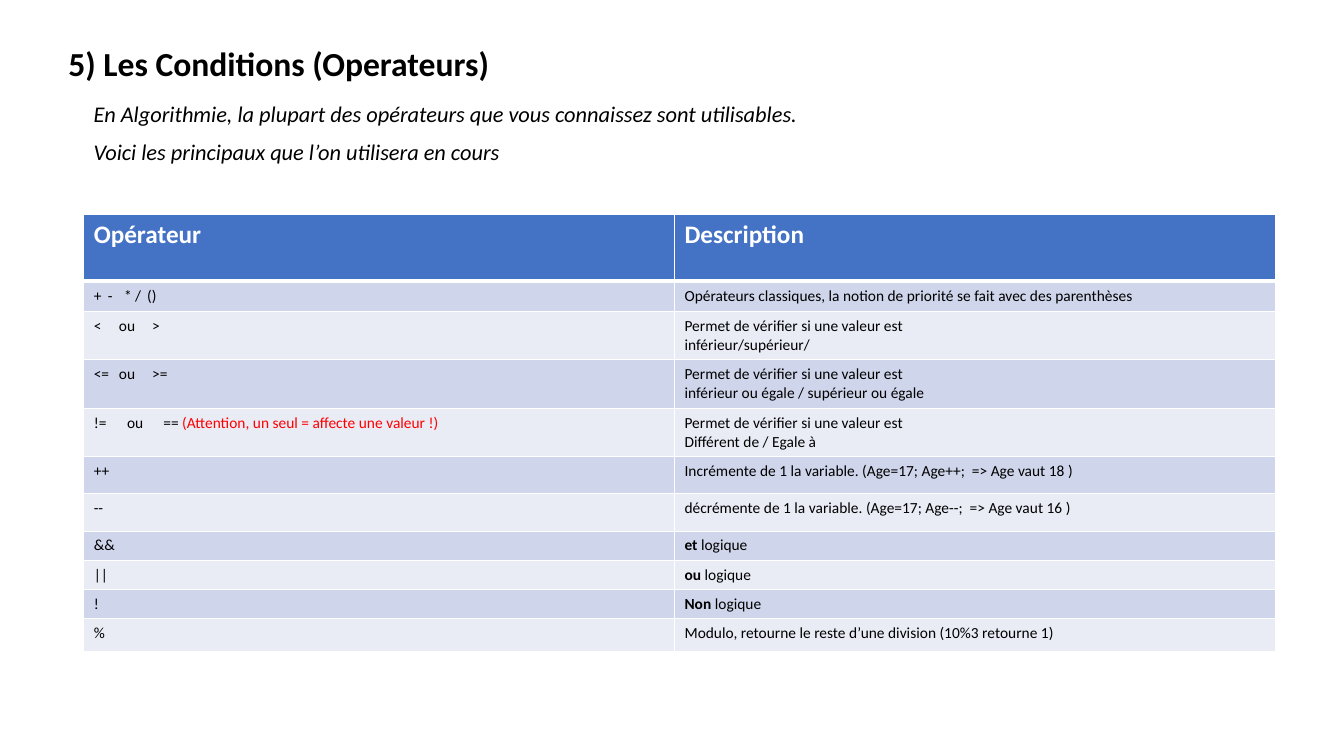
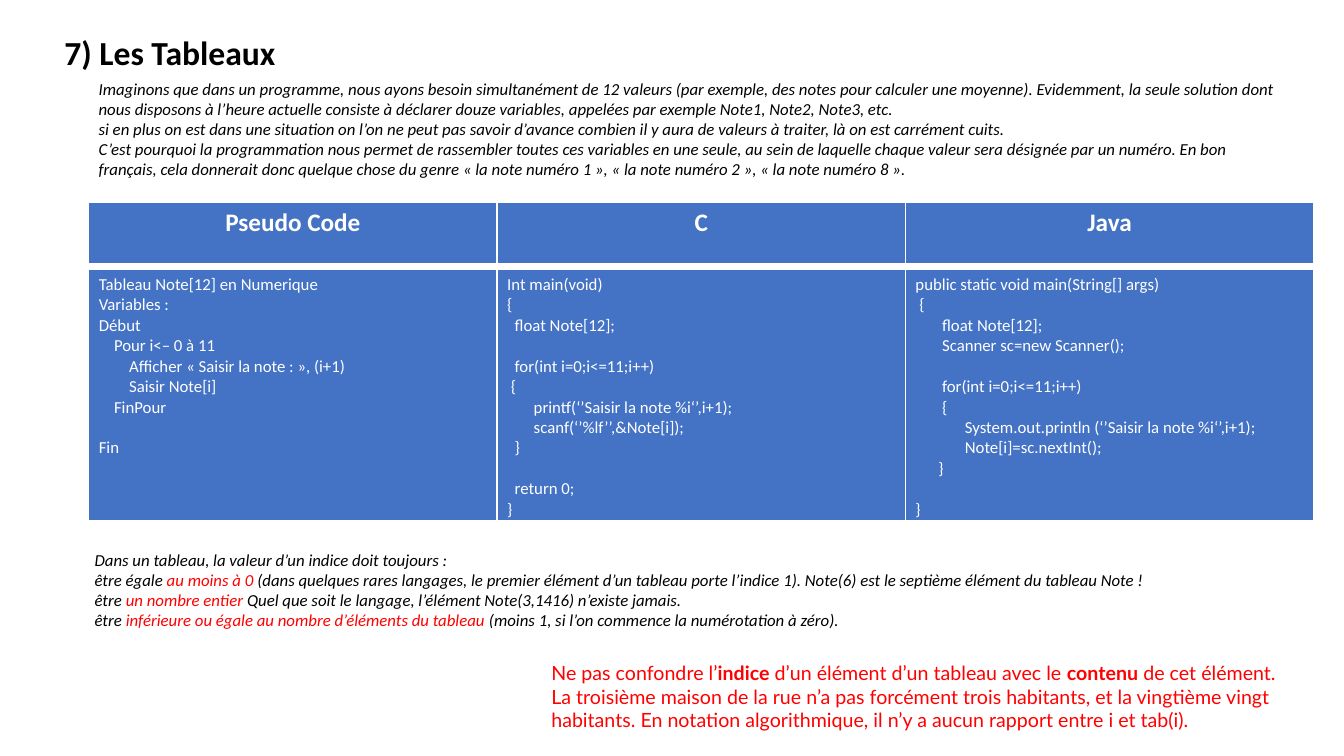
from dataclasses import dataclass

from lxml import etree
from pptx import Presentation
from pptx.dml.color import RGBColor
from pptx.enum.text import PP_ALIGN
from pptx.oxml.ns import qn
from pptx.util import Inches, Pt

LEFT, CENTER = PP_ALIGN.LEFT, PP_ALIGN.CENTER


@dataclass(frozen=True)
class Theme:
    font: str = "Calibri"
    note_font: str = "Lato"
    black: str = "000000"
    white: str = "FFFFFF"
    red: str = "FF0000"
    blue: str = "4472C4"
    bands: tuple = ("CFD5EA", "E9EBF5")
    title: int = 24
    header: int = 18
    lead: int = 16
    note: int = 14
    body: int = 12
    cell: int = 11
    line_height: float = 1.22   # of the type size
    space_width: float = 0.226  # of the type size
    thin: int = 1
    thick: int = 3


THEME = Theme()
RED, BOLD = "red", "bold"

# Content: a paragraph is a string, or a list of strings and (string, mark)
OPERATORS_TITLE = "5) Les Conditions (Operateurs)"
OPERATORS_LEAD = [
    "En Algorithmie, la plupart des opérateurs que vous connaissez sont utilisables.",
    "Voici les principaux que l’on utilisera en cours",
]
OPERATORS_HEADER = ("Opérateur", "Description")
CHECK = "Permet de vérifier si une valeur est"
# Row height, tab stops, operator, description paragraphs
OPERATORS = [
    (0.3, (0.14, 0.3, 0.41, 0.53), "+\t-\t*\t/\t()",
     ["Opérateurs classiques, la notion de priorité se fait avec des parenthèses"]),
    (0.48, (0.25, 0.58), "<\tou\t>", [CHECK, "inférieur/supérieur/"]),
    (0.48, (0.25, 0.58), "<=\tou\t>=", [CHECK, "inférieur ou égale / supérieur ou égale"]),
    (0.48, (0.33, 0.69),
     ["!=\tou\t== ", ("(Attention, un seul = affecte une valeur !)", RED)],
     [CHECK, "Différent de / Egale à"]),
    (0.37, (), "++", ["Incrémente de 1 la variable. (Age=17; Age++;  => Age vaut 18 )"]),
    (0.37, (), "--", ["décrémente de 1 la variable. (Age=17; Age--;  => Age vaut 16 )"]),
    (0.29, (), "&&", [[("et", BOLD), " logique"]]),
    (0.29, (), "||", [[("ou", BOLD), " logique"]]),
    (0.29, (), "!", [[("Non", BOLD), " logique"]]),
    (0.33, (), "%", ["Modulo, retourne le reste d’une division (10%3 retourne 1)"]),
]

ARRAYS_TITLE = "7) Les Tableaux"
ARRAYS_INTRO = [
    "Imaginons que dans un programme, nous ayons besoin simultanément de 12 valeurs "
    "(par exemple, des notes pour calculer une moyenne). Evidemment, la seule solution "
    "dont nous disposons à l’heure actuelle consiste à déclarer douze variables, "
    "appelées par exemple Note1, Note2, Note3, etc.",
    "si en plus on est dans une situation on l’on ne peut pas savoir d’avance combien "
    "il y aura de valeurs à traiter, là on est carrément cuits.",
    "C’est pourquoi la programmation nous permet de rassembler toutes ces variables en "
    "une seule, au sein de laquelle chaque valeur sera désignée par un numéro. En bon "
    "français, cela donnerait donc quelque chose du genre « la note numéro 1 », "
    "« la note numéro 2 », « la note numéro 8 ».",
]
LISTINGS = {
    "Pseudo Code": """Tableau Note[12] en Numerique
Variables :
Début
    Pour i<– 0 à 11
        Afficher « Saisir la note : », (i+1)
        Saisir Note[i]
    FinPour

Fin""",
    "C": """Int main(void)
{
  float Note[12];

  for(int i=0;i<=11;i++)
 {
       printf(‘’Saisir la note %i‘’,i+1);
       scanf(‘’%lf’’,&Note[i]);
  }

  return 0;
}""",
    "Java": """public static void main(String[] args)
 {
       float Note[12];
       Scanner sc=new Scanner();

       for(int i=0;i<=11;i++)
       {
             System.out.println (‘’Saisir la note %i‘’,i+1);
             Note[i]=sc.nextInt();
      }

}""",
}
INDEX_RULES = [
    "Dans un tableau, la valeur d’un indice doit toujours :",
    ["être égale ", ("au moins à 0 ", RED),
     "(dans quelques rares langages, le premier élément d’un tableau porte l’indice 1). "
     "Note(6) est le septième élément du tableau Note !"],
    ["être ", ("un nombre entier", RED),
     " Quel que soit le langage, l’élément Note(3,1416) n’existe jamais."],
    ["être ", ("inférieure ou égale au nombre d’éléments du tableau", RED),
     " (moins 1, si l’on commence la numérotation à zéro)."],
]
WARNING = [
    ["Ne pas confondre l’", ("indice", BOLD), " d’un élément d’un tableau avec le ",
     ("contenu", BOLD), " de cet élément."],
    "La troisième maison de la rue n’a pas forcément trois habitants, et la vingtième "
    "vingt habitants. En notation algorithmique, il n’y a aucun rapport entre i et tab(i).",
]


# Text
def write(frame, paragraphs, size, color=THEME.black, bold=False, italic=False,
          font=THEME.font, align=LEFT):
    for index, pieces in enumerate(paragraphs):
        paragraph = frame.paragraphs[0] if index == 0 else frame.add_paragraph()
        paragraph.alignment = align
        for piece in [pieces] if isinstance(pieces, str) else pieces:
            text, mark = (piece, None) if isinstance(piece, str) else piece
            run = paragraph.add_run()
            run.text = text
            run.font.name = font
            run.font.size = Pt(size)
            run.font.bold = bold or mark == BOLD
            run.font.italic = italic
            run.font.color.rgb = RGBColor.from_string(THEME.red if mark == RED else color)


def add_text(slide, box, paragraphs, size, **style):
    frame = slide.shapes.add_textbox(*map(Inches, box)).text_frame
    frame.word_wrap = True
    write(frame, paragraphs, size, **style)
    return frame


def add_title(slide, left, top, text):
    add_text(slide, (left, top, 6.37, 0.91), [text], THEME.title, bold=True)


def set_tabs(paragraph, stops):
    tabs = etree.SubElement(paragraph._p.get_or_add_pPr(), qn("a:tabLst"))
    for stop in stops:
        etree.SubElement(tabs, qn("a:tab"), pos=str(Inches(stop)), algn="l")


def write_code(frame, code):
    """Leading spaces become indents, and empty lines become space before."""
    lines, gaps, gap = [], [], 0
    for line in code.splitlines():
        if line:
            lines.append(line)
            gaps.append(gap)
            gap = 0
        else:
            gap += THEME.body * THEME.line_height
    write(frame, [line.lstrip() for line in lines], THEME.body, THEME.white)
    for paragraph, line, before in zip(frame.paragraphs, lines, gaps):
        depth = len(line) - len(line.lstrip())
        indent = Pt(depth * THEME.space_width * THEME.body)
        paragraph._p.get_or_add_pPr().set("marL", str(indent))
        paragraph.space_before = Pt(before)


# Tables
def paint_cell(cell, fill, top=THEME.thin, bottom=THEME.thin):
    properties = cell._tc.get_or_add_tcPr()
    sides = {"L": THEME.thin, "R": THEME.thin, "T": top, "B": bottom}
    for side, width in sides.items():
        line = etree.SubElement(properties, qn(f"a:ln{side}"), w=str(Pt(width)))
        solid = etree.SubElement(line, qn("a:solidFill"))
        etree.SubElement(solid, qn("a:srgbClr"), val=THEME.white)
    cell.fill.solid()
    cell.fill.fore_color.rgb = RGBColor.from_string(fill)


def add_grid(slide, left, top, widths, heights, has_header=True):
    box = (left, top, sum(widths), sum(heights))
    table = slide.shapes.add_table(len(heights), len(widths), *map(Inches, box)).table
    table.first_row, table.horz_banding = has_header, False
    for column, width in zip(table.columns, widths):
        column.width = Inches(width)
    for row, height in zip(table.rows, heights):
        row.height = Inches(height)
    return table


def fill_header(table, labels, align=LEFT):
    for cell, label in zip(table.rows[0].cells, labels):
        paint_cell(cell, THEME.blue, bottom=THEME.thick)
        write(cell.text_frame, [label], THEME.header, THEME.white, bold=True, align=align)


# Slides
def build_operators(slide):
    add_title(slide, 0.58, 0.38, OPERATORS_TITLE)
    lead = add_text(slide, (0.83, 0.97, 11.29, 1.0), OPERATORS_LEAD, THEME.lead, italic=True)
    for paragraph in lead.paragraphs:
        paragraph.line_spacing = 0.9
        paragraph.space_before = Pt(10)

    heights = [0.66] + [height for height, *_ in OPERATORS]
    table = add_grid(slide, 0.83, 2.13, (5.86, 5.96), heights)
    fill_header(table, OPERATORS_HEADER)
    for number, (_, stops, operator, description) in enumerate(OPERATORS):
        cells = table.rows[number + 1].cells
        for cell, paragraphs in zip(cells, ([operator], description)):
            paint_cell(cell, THEME.bands[number % 2],
                       top=THEME.thin if number else THEME.thick)
            write(cell.text_frame, paragraphs, THEME.cell)
        if stops:
            set_tabs(table.cell(number + 1, 0).text_frame.paragraphs[0], stops)


def build_arrays(slide):
    add_title(slide, 0.54, 0.27, ARRAYS_TITLE)
    add_text(slide, (0.88, 0.73, 11.94, 1.11), ARRAYS_INTRO, THEME.body, italic=True)

    widths = [4.05] * len(LISTINGS)
    languages = add_grid(slide, 0.88, 2.01, widths, [0.62])
    fill_header(languages, LISTINGS, CENTER)
    listings = add_grid(slide, 0.88, 2.67, widths, [2.5], has_header=False)
    for cell, code in zip(listings.rows[0].cells, LISTINGS.values()):
        paint_cell(cell, THEME.blue, bottom=THEME.thick)
        write_code(cell.text_frame, code)

    add_text(slide, (0.84, 5.4, 11.27, 0.91), INDEX_RULES, THEME.body, italic=True)
    add_text(slide, (5.37, 6.51, 7.96, 0.81), WARNING, THEME.note,
             color=THEME.red, font=THEME.note_font)


def main():
    deck = Presentation()
    deck.slide_width, deck.slide_height = Inches(13.33), Inches(7.5)
    blank = deck.slide_layouts[6]
    for build in (build_operators, build_arrays):
        build(deck.slides.add_slide(blank))
    deck.save("out.pptx")


if __name__ == "__main__":
    main()
